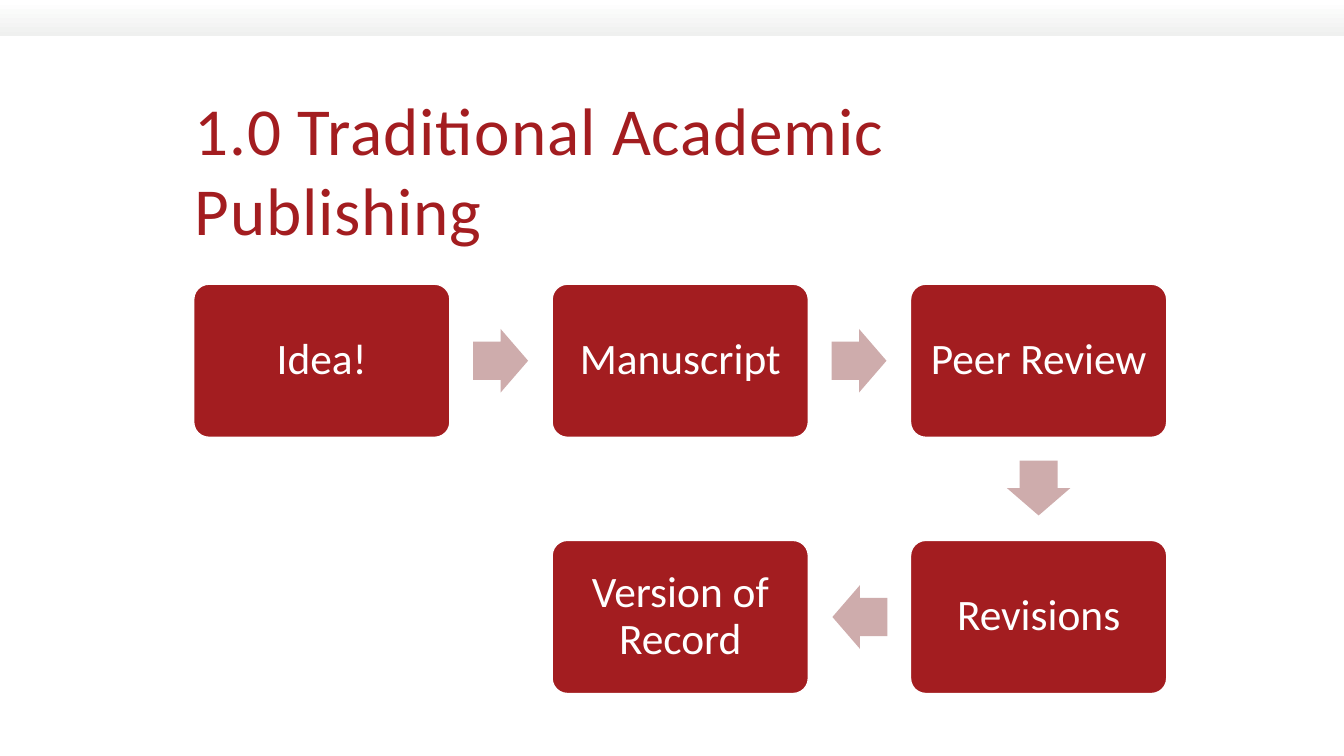
"""Build the slide on the path of a traditional academic publication."""
from pptx import Presentation
from pptx.dml.color import RGBColor
from pptx.enum.shapes import MSO_SHAPE
from pptx.enum.text import MSO_ANCHOR, PP_ALIGN
from pptx.util import Pt

STAGES = [
    ("Idea!", 0, 0),
    ("Manuscript", 1, 0),
    ("Peer Review", 2, 0),
    ("Revisions", 2, 1),
    ("Version of Record", 1, 1),
]
ROTATIONS = {(1, 0): 0, (0, 1): 90, (-1, 0): 180}
LEFT, TOP = 138.4, 203
COLUMN_STEP, ROW_STEP = 256, 183
STAGE_WIDTH, STAGE_HEIGHT = 183, 109.4
ARROW_LENGTH, ARROW_BREADTH, ARROW_GAP = 39.2, 45.4, 16.6


def color(code):
    return RGBColor.from_string(code)


class PublishingSlide:
    """Holds the slide and the style of its elements."""

    font, red, pink, white = "Calibri", "A31D20", "CEACAC", "FFFFFF"

    def __init__(self, deck):
        self.shapes = deck.slides.add_slide(deck.slide_layouts[6]).shapes

    def shape(self, kind, left, top, width, height):
        element = self.shapes.add_shape(kind, Pt(left), Pt(top), Pt(width), Pt(height))
        element.shadow.inherit = False
        element.line.fill.background()
        return element

    def add_text(self, paragraph, text, size, code):
        run = paragraph.add_run()
        run.text = text
        run.font.name = self.font
        run.font.size = Pt(size)
        run.font.color.rgb = color(code)
        return run

    def band(self, width, height):
        fill = self.shape(MSO_SHAPE.RECTANGLE, 0, 0, width, height).fill
        fill.gradient()
        fill.gradient_angle = 270
        for stop, position, code in zip(fill.gradient_stops, (0, 1), (self.white, "EFF0EF")):
            stop.position = position
            stop.color.rgb = color(code)

    def frame(self, element, inset, anchor):
        frame = element.text_frame
        frame.word_wrap = True
        frame.vertical_anchor = anchor
        frame.margin_left = frame.margin_right = Pt(inset)
        frame.margin_top = frame.margin_bottom = Pt(inset)
        return frame.paragraphs[0]

    def title(self, text, left, top, width, height):
        box = self.shapes.add_textbox(Pt(left), Pt(top), Pt(width), Pt(height))
        heading = self.add_text(self.frame(box, 0, MSO_ANCHOR.BOTTOM), text, 48, self.red)
        heading.font._element.set("spc", "60")

    def stage(self, text, column, row):
        box = self.shape(MSO_SHAPE.ROUNDED_RECTANGLE, LEFT + column * COLUMN_STEP,
                         TOP + row * ROW_STEP, STAGE_WIDTH, STAGE_HEIGHT)
        box.adjustments[0] = 0.1
        box.fill.solid()
        box.fill.fore_color.rgb = color(self.red)
        box.line.color.rgb = color(self.white)
        box.line.width = Pt(1)
        label = self.frame(box, 9.36, MSO_ANCHOR.MIDDLE)
        label.alignment = PP_ALIGN.CENTER
        label.line_spacing = 0.9
        self.add_text(label, text, 31, self.white)

    def arrow(self, column, row, across, down):
        reach = ARROW_GAP + ARROW_LENGTH / 2
        center_x = LEFT + column * COLUMN_STEP + STAGE_WIDTH / 2 + across * (STAGE_WIDTH / 2 + reach)
        center_y = TOP + row * ROW_STEP + STAGE_HEIGHT / 2 + down * (STAGE_HEIGHT / 2 + reach)
        arrow = self.shape(MSO_SHAPE.RIGHT_ARROW, center_x - ARROW_LENGTH / 2,
                           center_y - ARROW_BREADTH / 2, ARROW_LENGTH, ARROW_BREADTH)
        arrow.adjustments[0] = 0.6
        arrow.adjustments[1] = 0.5
        arrow.rotation = ROTATIONS[across, down]
        arrow.fill.solid()
        arrow.fill.fore_color.rgb = color(self.pink)


def main():
    deck = Presentation()
    deck.slide_width, deck.slide_height = Pt(960), Pt(540)
    slide = PublishingSlide(deck)
    slide.band(960, 26)
    slide.title("1.0 Traditional Academic Publishing", 139, 51, 696, 127)
    for text, column, row in STAGES:
        slide.stage(text, column, row)
    for (_, column, row), (_, next_column, next_row) in zip(STAGES, STAGES[1:]):
        slide.arrow(column, row, next_column - column, next_row - row)
    deck.save("out.pptx")


if __name__ == "__main__":
    main()
